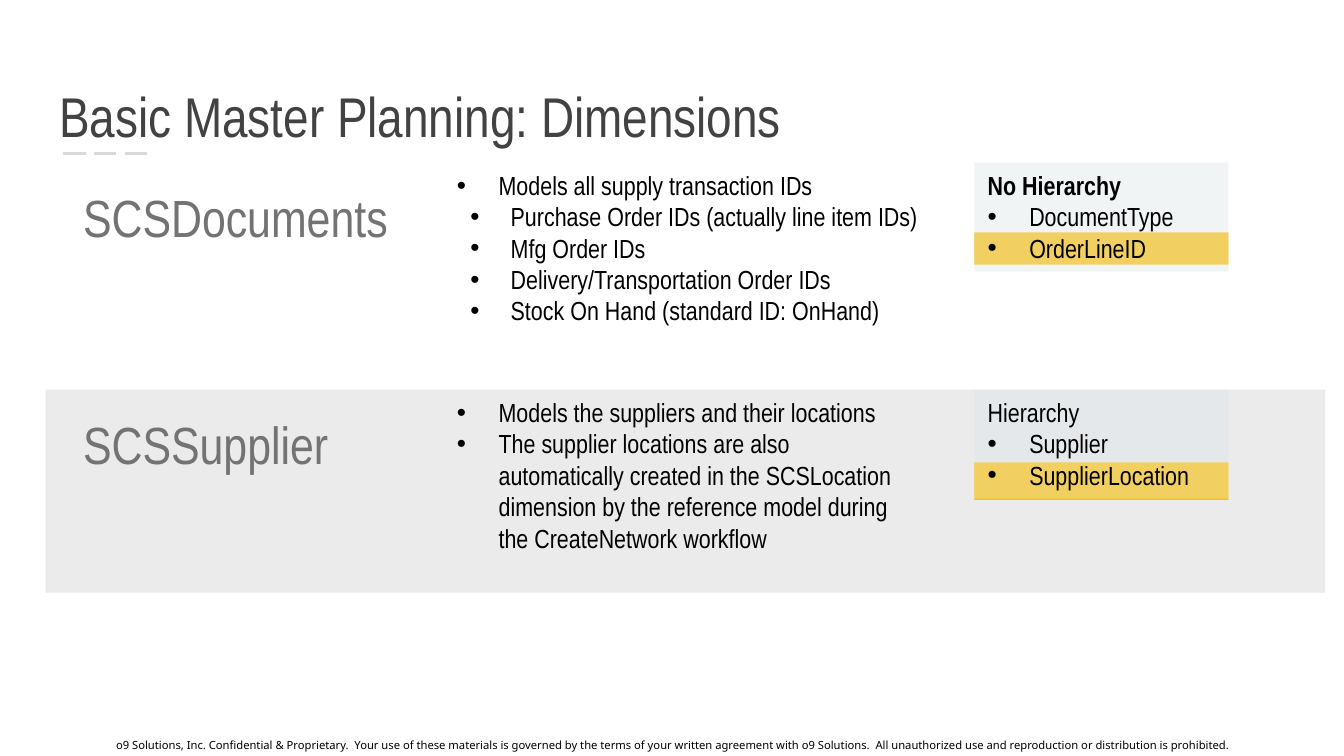
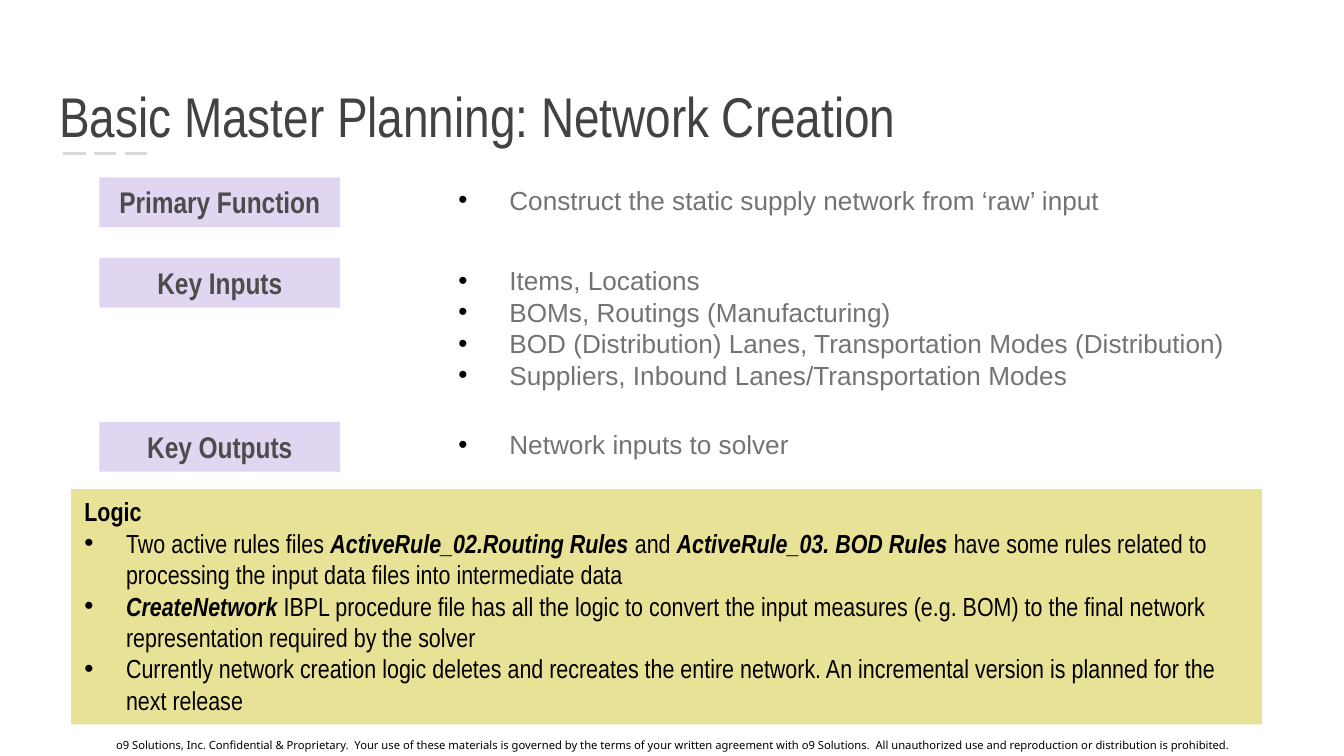
from lxml.etree import SubElement
from pptx import Presentation
from pptx.dml.color import RGBColor
from pptx.enum.dml import MSO_LINE
from pptx.enum.shapes import MSO_CONNECTOR, MSO_SHAPE
from pptx.enum.text import MSO_ANCHOR, MSO_AUTO_SIZE, PP_ALIGN
from pptx.oxml.ns import qn
from pptx.util import Emu, Pt

# Shared look: 100 px to the inch
SCALE = 9144
NARROW, SANS, NOTO = "Arial Narrow", "Arial", "Noto Sans"
BLACK, GREY, DARK, RULE = "000000", "737373", "424242", "D9D9D9"
BAND, PANEL, GOLD = "EBEBEB", "DEE5E9", "FFC000"
LILAC, LABEL, OLIVE = "E0D6F2", "4C4C4C", "C9BA06"
NOTICE = ("o9 Solutions, Inc. Confidential & Proprietary.  Your use of these "
          "materials is governed by the terms of your written agreement with "
          "o9 Solutions.  All unauthorized use and reproduction or "
          "distribution is prohibited.")

# Left margin and hanging indent of each kind of bullet
INDENT = {"main": (31, 31), "sub": (40, 30), "wide": (38, 38)}


def px(n):
    return Emu(n * SCALE)


def rgb(code):
    return RGBColor.from_string(code)


def place(item, x, y, w, h):
    item.left, item.top, item.width, item.height = px(x), px(y), px(w), px(h)


def bullet(para, kind):
    left, hang = INDENT[kind]
    props = para._p.get_or_add_pPr()
    props.set("marL", str(px(left)))
    props.set("indent", str(-px(hang)))
    tint = SubElement(props, qn("a:buClr"))
    SubElement(tint, qn("a:srgbClr"), val=BLACK)
    SubElement(props, qn("a:buFont"), typeface=SANS)
    SubElement(props, qn("a:buChar"), char="•")


def write(item, lines, size, color, face=NARROW, align=PP_ALIGN.LEFT,
          anchor=MSO_ANCHOR.TOP, inset=5, wrap=True):
    """Fill with (kind, text) lines; text between asterisks is bold italic."""
    frame = item.text_frame
    frame.auto_size = MSO_AUTO_SIZE.NONE
    frame.word_wrap = wrap
    frame.vertical_anchor = anchor
    frame.margin_left = frame.margin_right = px(10)
    frame.margin_top = frame.margin_bottom = px(inset)
    for n, (kind, text) in enumerate(lines):
        para = frame.add_paragraph() if n else frame.paragraphs[0]
        para.alignment = align
        para.space_before = Pt(0)
        if kind in INDENT:
            bullet(para, kind)
        font = para.font
        font.name, font.size, font.bold = face, Pt(size), kind == "bold"
        font.color.rgb = rgb(color)
        for k, part in enumerate(text.split("*")):
            if part:
                run = para.add_run()
                run.text = part
                if k % 2:
                    run.font.bold = run.font.italic = True


def box(slide, x, y, w, h, fill, alpha=None):
    item = slide.shapes.add_shape(MSO_SHAPE.RECTANGLE,
                                  px(x), px(y), px(w), px(h))
    item.shadow.inherit = False
    item.fill.solid()
    item.fill.fore_color.rgb = rgb(fill)
    item.line.fill.background()
    if alpha:
        tint = item._element.spPr.find(".//" + qn("a:srgbClr"))
        SubElement(tint, qn("a:alpha"), val=str(alpha * 1000))
    return item


def label(slide, x, y, w, h, text, size, color, **style):
    item = slide.shapes.add_textbox(px(x), px(y), px(w), px(h))
    write(item, [("plain", text)], size, color, **style)


def listing(slide, idx, x, y, w, h, lines, **style):
    """Fill a body placeholder and bring it in front of the bands."""
    item = slide.placeholders[idx]
    place(item, x, y, w, h)
    slide.shapes._spTree.append(item._element)
    write(item, lines, 14, **style)


def start(deck, layout, title):
    """Slide with the shared title, dashed rule and footer."""
    slide = deck.slides.add_slide(deck.slide_layouts.get_by_name(layout))
    place(slide.shapes.title, 34, 41, 932, 80)
    write(slide.shapes.title, [("plain", title)], 30, DARK,
          anchor=MSO_ANCHOR.BOTTOM, inset=10)
    rule = slide.shapes.add_connector(MSO_CONNECTOR.STRAIGHT,
                                      px(47), px(114), px(114), px(114))
    rule.line.color.rgb = rgb(RULE)
    rule.line.width = Pt(1.5)
    rule.line.dash_style = MSO_LINE.LONG_DASH
    SubElement(rule._element.spPr, qn("a:effectLst"))
    label(slide, 0, 544, 1000, 21, NOTICE, 6, BLACK, face=NOTO,
          align=PP_ALIGN.CENTER, anchor=MSO_ANCHOR.MIDDLE, inset=10)
    return slide


def entry(slide, idx, top, name, width, notes, size, levels, bar):
    """One dimension: name, notes and its levels, with the key level marked."""
    box(slide, 725, bar[0], 189, bar[1], GOLD)
    label(slide, 52, top + 12, width, 57, name, 28, GREY, wrap=False)
    write(box(slide, 725, top, 189, 81, PANEL, 42), levels, 14, BLACK)
    listing(slide, idx, 330, top, *size, notes, color=BLACK)


def topic(slide, idx, top, name, size, lines):
    """One lilac tag with its list beside it."""
    tag = box(slide, 74, top, 179, 37, LILAC)
    write(tag, [("bold", name)], 16, LABEL, align=PP_ALIGN.CENTER)
    listing(slide, idx, 331, top, *size, [("wide", t) for t in lines],
            color=GREY, face=SANS)


def dimensions(deck):
    slide = start(deck, "Two Content", "Basic Master Planning: Dimensions")
    box(slide, 34, 290, 952, 151, BAND)
    entry(slide, 1, 121, "SCSDocuments", 249, [
        ("main", "Models all supply transaction IDs"),
        ("sub", "Purchase Order IDs (actually line item IDs)"),
        ("sub", "Mfg Order IDs"),
        ("sub", "Delivery/Transportation Order IDs"),
        ("sub", "Stock On Hand (standard ID: OnHand)"),
    ], (380, 87), [
        ("bold", "No Hierarchy"),
        ("main", "DocumentType"),
        ("main", "OrderLineID"),
    ], (173, 24))
    entry(slide, 2, 290, "SCSSupplier", 205, [
        ("main", "Models the suppliers and their locations"),
        ("main", "The supplier locations are also automatically created in "
                 "the SCSLocation dimension by the reference model during "
                 "the CreateNetwork workflow"),
    ], (361, 34), [
        ("plain", "Hierarchy"),
        ("main", "Supplier"),
        ("main", "SupplierLocation"),
    ], (344, 28))


def network(deck):
    slide = start(deck, "Comparison",
                  "Basic Master Planning: Network Creation")
    topic(slide, 1, 132, "Primary Function", (505, 34),
          ["Construct the static supply network from ‘raw’ input"])
    topic(slide, 2, 192, "Key Inputs", (593, 128), [
        "Items, Locations",
        "BOMs, Routings (Manufacturing)",
        "BOD (Distribution) Lanes, Transportation Modes (Distribution)",
        "Suppliers, Inbound Lanes/Transportation Modes",
    ])
    topic(slide, 3, 314, "Key Outputs", (277, 34),
          ["Network inputs to solver"])
    spare = slide.placeholders[4]._element
    spare.getparent().remove(spare)

    # Logic panel
    write(box(slide, 53, 364, 886, 175, OLIVE, 42), [
        ("bold", "Logic"),
        ("main", "Two active rules files *ActiveRule_02.Routing Rules *and "
                 "*ActiveRule_03. BOD Rules *have some rules related to "
                 "processing the input data files into intermediate data"),
        ("main", "*CreateNetwork* IBPL procedure file has all the logic to "
                 "convert the input measures (e.g. BOM) to the final network "
                 "representation required by the solver"),
        ("main", "Currently network creation logic deletes and recreates the "
                 "entire network. An incremental version is planned for the "
                 "next release"),
    ], 14, BLACK)


def main():
    deck = Presentation()
    # Widescreen, 16 to 9
    deck.slide_width = px(1000)
    deck.slide_height = Emu(deck.slide_width * 9 // 16)
    dimensions(deck)
    network(deck)
    deck.save("out.pptx")


if __name__ == "__main__":
    main()
